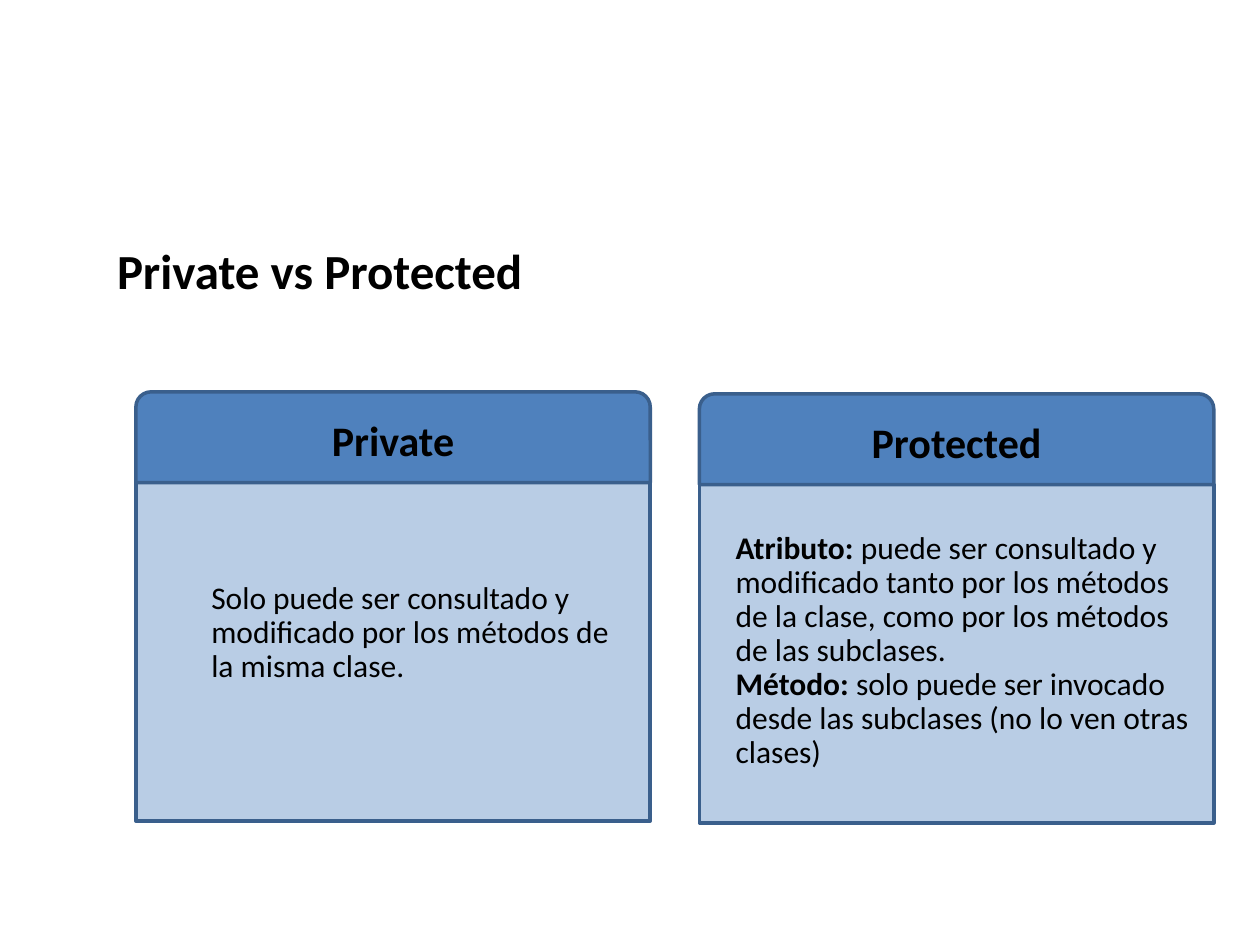
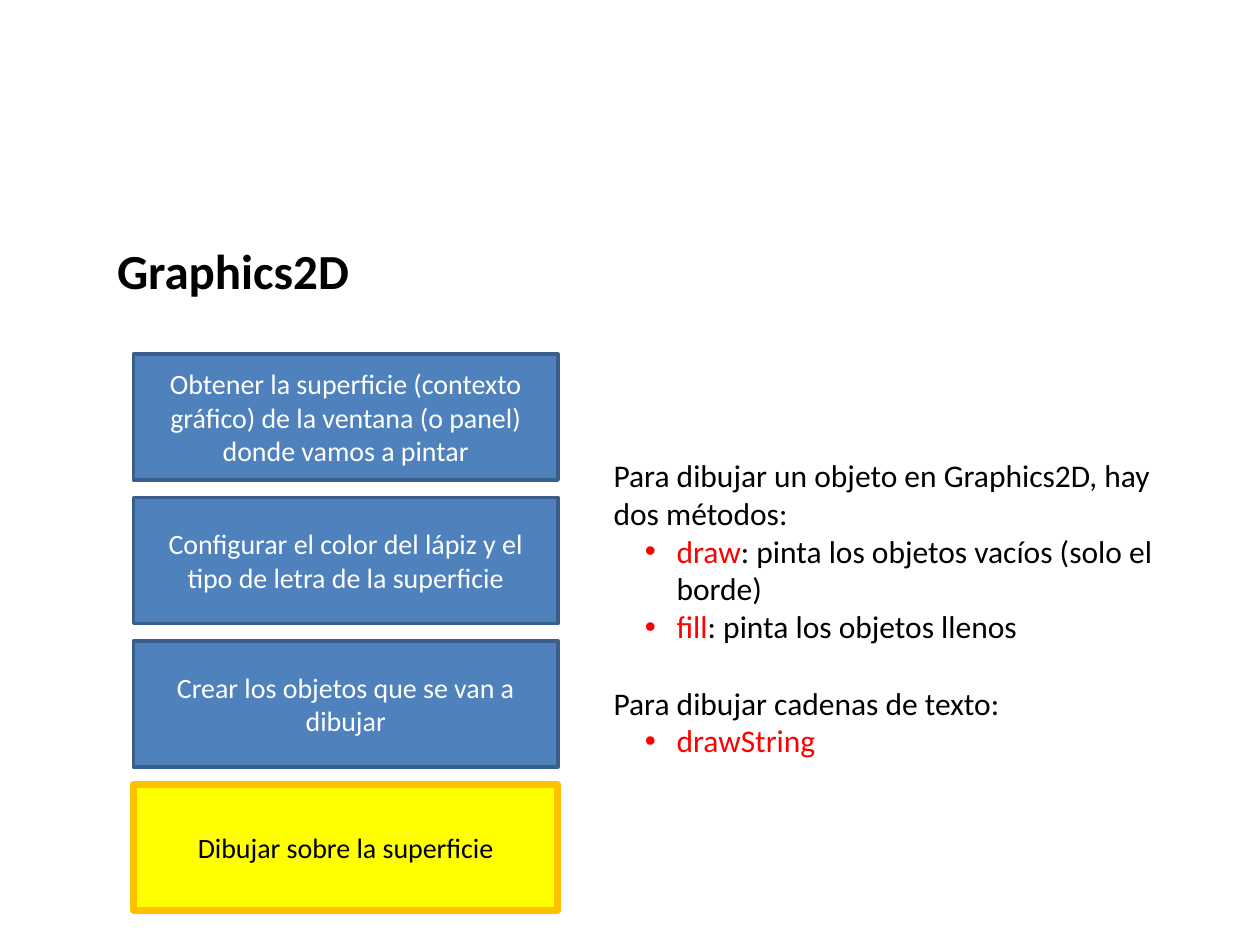
"""Build two slides: Private vs Protected, and Graphics2D."""
from lxml.etree import SubElement as Sub
from pptx import Presentation
from pptx.dml.color import RGBColor as RGB
from pptx.enum.shapes import MSO_SHAPE as Kind
from pptx.enum.text import MSO_ANCHOR as Anchor, PP_ALIGN as Align
from pptx.oxml.ns import qn
from pptx.util import Cm, Pt

FONT = "Calibri"
BLACK = RGB(0x00, 0x00, 0x00)
WHITE = RGB(0xFF, 0xFF, 0xFF)
RED = RGB(0xFF, 0x00, 0x00)
BLUE = RGB(0x4F, 0x81, 0xBD)
PALE = RGB(0xB9, 0xCD, 0xE5)
NAVY = RGB(0x3A, 0x5F, 0x8C)
YELLOW = RGB(0xFF, 0xFF, 0x00)
GOLD = RGB(0xFF, 0xC0, 0x00)


def write(frame, text, lead="", size=18, color=BLACK, tint=BLACK, bold=False,
          align=Align.LEFT, left=0, space=1.0, before=0, bullet=False):
    """Add a paragraph; the lead run is bold unless it has its own tint."""
    para = frame.paragraphs[0] if not frame.text else frame.add_paragraph()
    para.alignment = align
    para.line_spacing = space
    para.space_before = Pt(before)
    props = para._p.get_or_add_pPr()
    props.set("marL", str(Cm(left)))
    props.set("indent", str(Cm(-0.64) if bullet else 0))
    if bullet:
        ink = Sub(Sub(props, qn("a:buClr")), qn("a:srgbClr"))
        ink.set("val", str(RED))
        Sub(props, qn("a:buFont")).set("typeface", "Arial")
        Sub(props, qn("a:buChar")).set("char", "•")
    runs = [(lead, tint, tint == BLACK), (text, color, bold)]
    for words, hue, heavy in runs:
        if words:
            run = para.add_run()
            run.text = words
            run.font.name = FONT
            run.font.size = Pt(size)
            run.font.bold = heavy
            run.font.color.rgb = hue


def block(slide, box, kind=None, fill=BLUE, edge=NAVY, width=2):
    """Add a shape, or a text box if no kind is given, and return its frame."""
    place = [Cm(n) for n in box]
    if kind is None:
        shape = slide.shapes.add_textbox(*place)
    else:
        shape = slide.shapes.add_shape(kind, *place)
        shape.shadow.inherit = False
        shape.fill.solid()
        shape.fill.fore_color.rgb = fill
        shape.line.color.rgb = edge
        shape.line.width = Pt(width)
        shape.text_frame.vertical_anchor = Anchor.MIDDLE
    shape.text_frame.word_wrap = True
    return shape.text_frame


deck = Presentation()
deck.slide_width, deck.slide_height = Cm(25.4), Cm(19.05)
slides = []
for title in ("Private vs Protected", "Graphics2D"):
    slide = deck.slides.add_slide(deck.slide_layouts[6])
    write(block(slide, (2.11, 4.72, 16, 1.45)), title, size=28, bold=True)
    slides.append(slide)
scope, draw = slides

cards = [
    ("Private", 2.74, 7.9, 1.27, 0.76, [
        ("", "Solo puede ser consultado y modificado por los métodos de la misma clase."),
    ]),
    ("Protected", 14.1, 7.94, 0.48, 0.13, [
        ("Atributo: ", "puede ser consultado y modificado tanto por los métodos "
                       "de la clase, como por los métodos de las subclases."),
        ("Método: ", "solo puede ser invocado desde las subclases (no lo ven otras clases)"),
    ]),
]
for name, x, y, left, foot, items in cards:
    body = block(scope, (x, y + 1.83, 10.37, 6.82), Kind.RECTANGLE, PALE)
    body.margin_bottom = Cm(foot + 0.1)
    for lead, text in items:
        write(body, text, lead, left=left, space=0.9)
    head = block(scope, (x, y, 10.37, 1.83), Kind.ROUND_2_SAME_RECTANGLE)
    write(head, name, size=24, bold=True, align=Align.CENTER)

plain = (BLUE, NAVY, 2, WHITE)
steps = [
    ("Obtener la superficie (contexto gráfico) de la ventana (o panel) donde vamos a pintar", plain),
    ("Configurar el color del lápiz y el tipo de letra de la superficie", plain),
    ("Crear los objetos que se van a dibujar", plain),
    ("Dibujar sobre la superficie", (YELLOW, GOLD, 4, BLACK)),
]
for i, (text, (fill, edge, width, ink)) in enumerate(steps):
    box = (2.69, 7.14 + 2.89 * i, 8.56, 2.54)
    step = block(draw, box, Kind.RECTANGLE, fill, edge, width)
    write(step, text, size=16, color=ink, align=Align.CENTER)

notes = block(draw, (12.12, 9.07, 11.94, 6.4))
point = {"left": 1.27, "bullet": True, "tint": RED}
write(notes, "Para dibujar un objeto en Graphics2D, hay dos métodos:")
write(notes, ": pinta los objetos vacíos (solo el borde)", "draw", **point)
write(notes, ": pinta los objetos llenos", "fill", **point)
write(notes, "Para dibujar cadenas de texto:", before=22)
write(notes, "", "drawString", **point)

deck.save("out.pptx")
